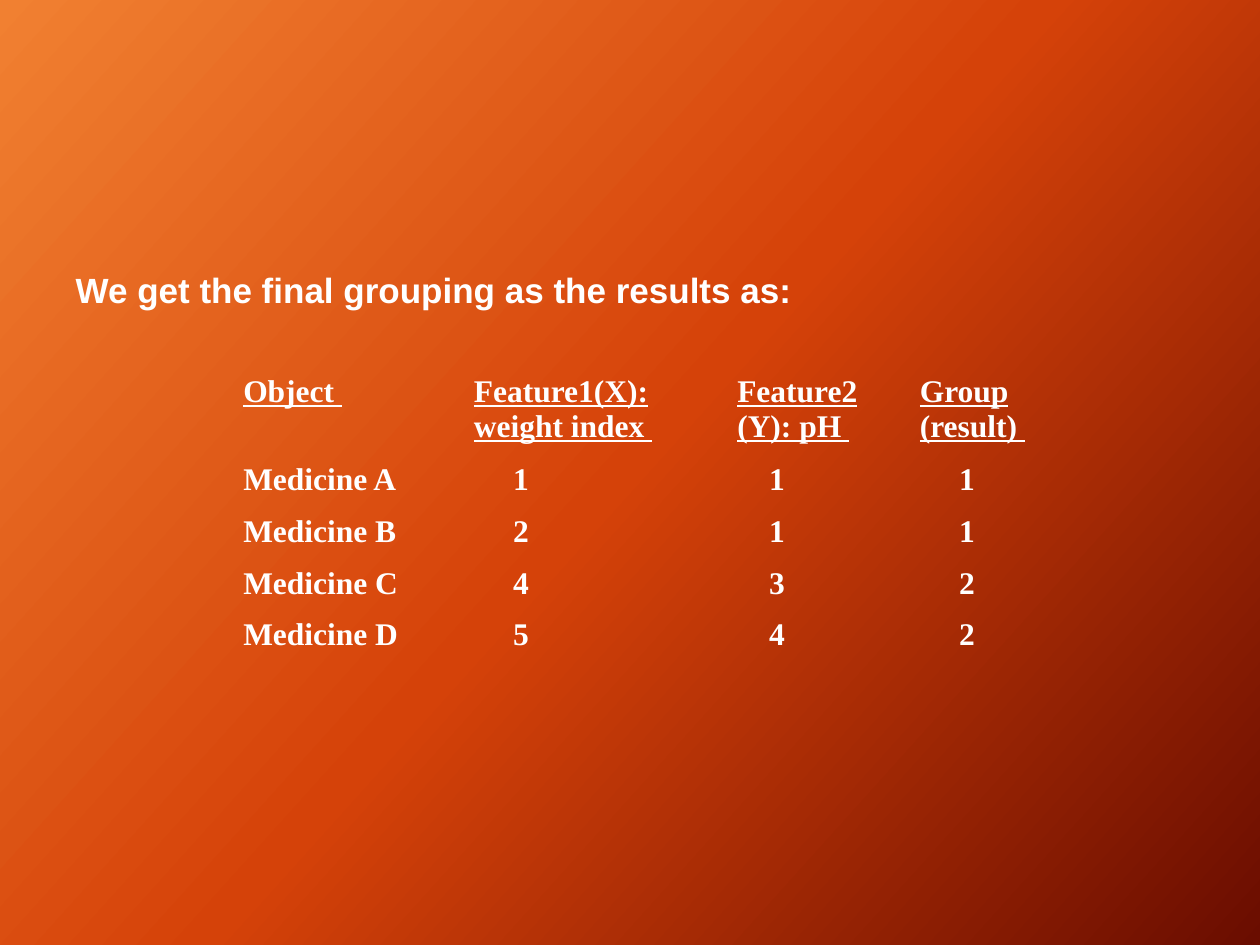
from pptx import Presentation
from pptx.dml.color import RGBColor as Rgb
from pptx.enum.text import MSO_ANCHOR as Anchor, MSO_AUTO_SIZE as Fit, PP_ALIGN as Align
from pptx.oxml.ns import qn
from pptx.util import Cm, Pt
from lxml.etree import SubElement as Sub

HUES = {"text": "FFFFFF", "light": "F18031", "mid": "D54209", "dark": "6A0D00"}
HEADS = ["Object ", "Feature1(X):\nweight index ", "Feature2\n(Y): pH ", "Group\n(result) "]
ROWS = [
    ["Medicine A", "1", "1", "1"],
    ["Medicine B", "2", "1", "1"],
    ["Medicine C", "4", "3", "2"],
    ["Medicine D", "5", "4", "2"],
]
WIDTHS = [4.65, 5.31, 3.68, 4.14]
SHIFTS = [0, 0.79, 0.64, 0.79]


def style(run, size, face):
    """Give a run its bold white font."""
    font = run.font
    font.size, font.name, font.bold = Pt(size), face, True
    font.color.rgb = Rgb.from_string(HUES["text"])


def paint(slide):
    """Fill the background with the diagonal gradient."""
    fill = slide.background.fill
    fill.gradient()
    fill.gradient_angle = 360 - 42
    stops = next(slide.element.iter(qn("a:gsLst")))
    for stop in list(stops):
        stops.remove(stop)
    for pos, hue in enumerate(("light", "mid", "dark")):
        stop = Sub(stops, qn("a:gs"), pos=str(pos * 50000))
        Sub(stop, qn("a:srgbClr"), val=HUES[hue])


def head(slide, left, top, width, height):
    """Place the title sentence in its box."""
    title = slide.shapes.title
    title.left, title.top, title.width, title.height = map(Cm, (left, top, width, height))
    frame = title.text_frame
    frame.word_wrap, frame.auto_size = True, Fit.SHAPE_TO_FIT_TEXT
    frame.vertical_anchor = Anchor.TOP
    para = frame.paragraphs[0]
    para.alignment = Align.LEFT
    run = para.add_run()
    run.text = "We get the final grouping as the results as:"
    style(run, 20, "Arial")


def write(cell, text, shift, top):
    """Fill one clear cell, one paragraph per line."""
    props = cell._tc.get_or_add_tcPr()
    for side in ("lnL", "lnR", "lnT", "lnB"):
        Sub(Sub(props, qn("a:" + side), w="0"), qn("a:noFill"))
    cell.fill.background()
    frame = cell.text_frame
    for num, line in enumerate(text.split("\n")):
        para = frame.add_paragraph() if num else frame.paragraphs[0]
        para.alignment = Align.JUSTIFY
        ppr = para._p.get_or_add_pPr()
        ppr.set("marL", str(Cm(0.97 if top else shift)))
        ppr.set("indent", str(Cm(-0.97 if top else 0)))
        run = para.add_run()
        run.text = line
        style(run, 18, "Times New Roman")
        run.font.underline = top


def grid(slide, left, top, width, height):
    """Place the table of medicines and groups."""
    data = [HEADS] + ROWS
    frame = slide.shapes.add_table(len(data), len(HEADS), *map(Cm, (left, top, width, height)))
    table = frame.table
    table.first_row = table.horz_banding = False
    for col, wide in zip(table.columns, WIDTHS):
        col.width = Cm(wide)
    first = 1.78
    for row, texts in enumerate(data):
        table.rows[row].height = Cm((height - first) / len(ROWS) if row else first)
        for col, text in enumerate(texts):
            write(table.cell(row, col), text, SHIFTS[col], row == 0)


def main():
    """Build the slide and save it."""
    deck = Presentation()
    deck.slide_width, deck.slide_height = Cm(25.4), Cm(19.05)
    slide = deck.slides.add_slide(deck.slide_layouts[5])
    paint(slide)
    grid(slide, 4.65, 7.42, sum(WIDTHS), 5.95)
    head(slide, 1.27, 5.28, 20.32, 1.1)
    deck.save("out.pptx")


main()
